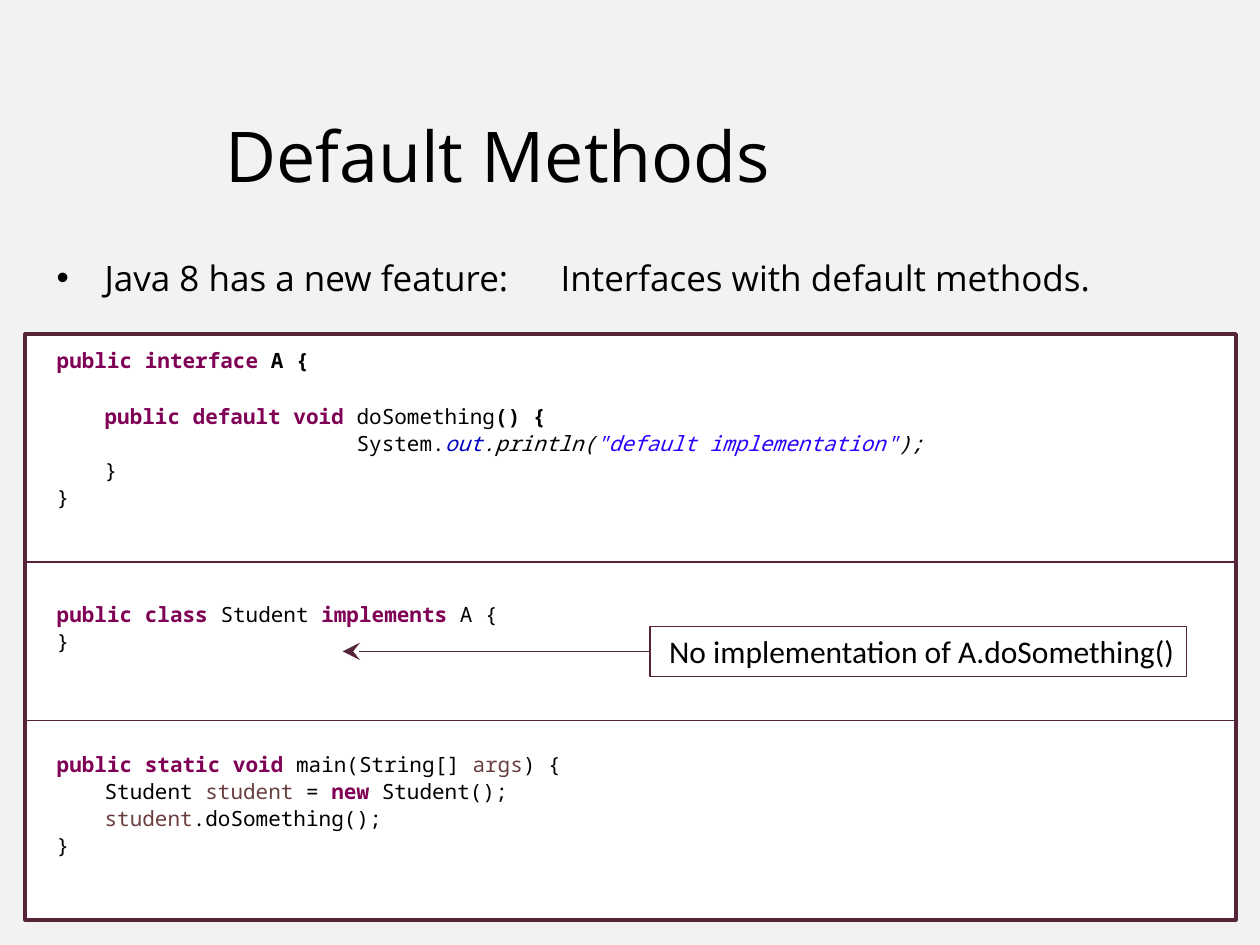
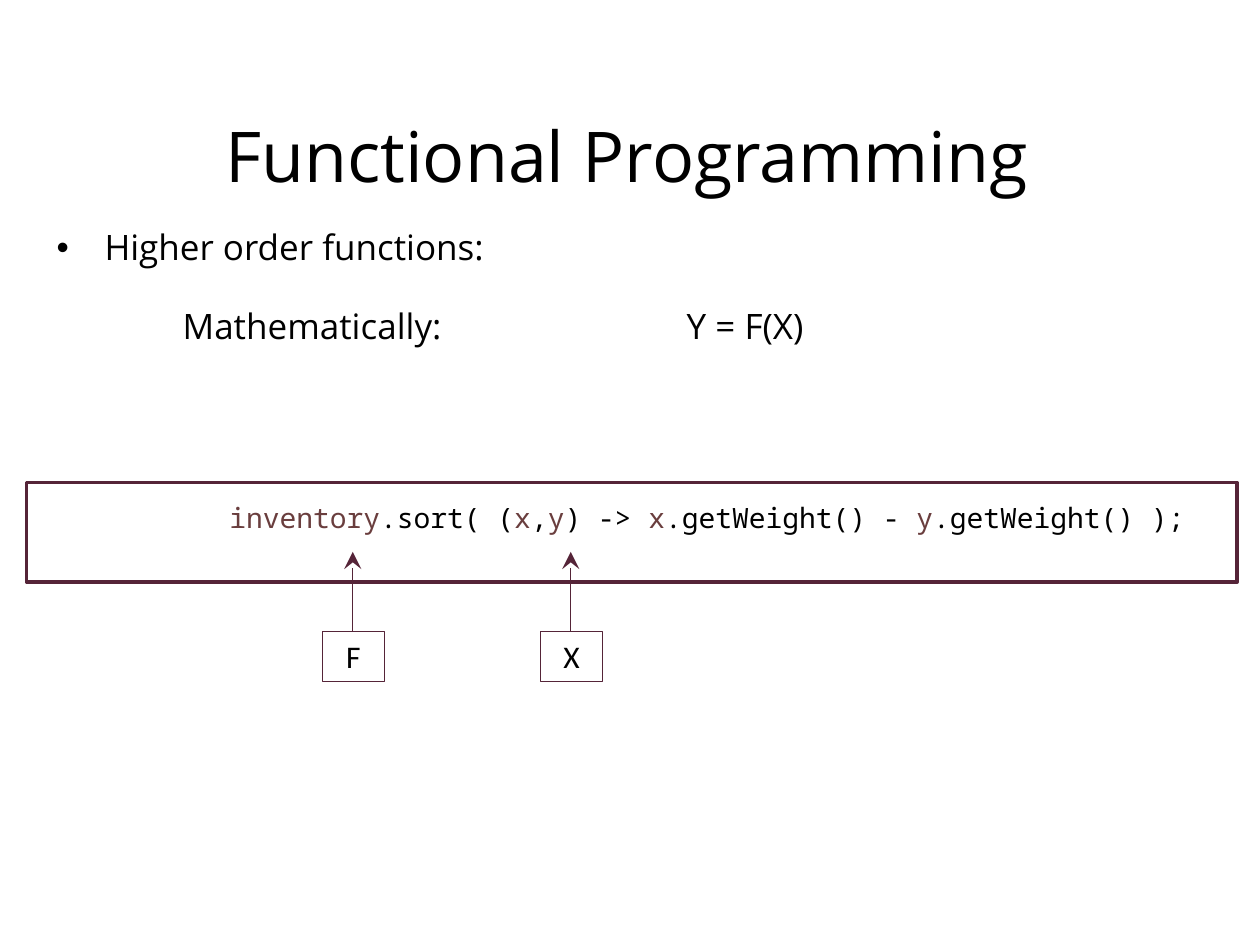
from lxml import etree
from pptx import Presentation
from pptx.dml.color import RGBColor
from pptx.enum.shapes import MSO_CONNECTOR, MSO_SHAPE
from pptx.enum.text import MSO_ANCHOR, PP_ALIGN
from pptx.oxml.ns import qn
from pptx.util import Inches, Pt

BLACK = RGBColor(0x00, 0x00, 0x00)
WHITE = RGBColor(0xFF, 0xFF, 0xFF)
GREY = RGBColor(0xF2, 0xF2, 0xF2)
PLUM = RGBColor(0x55, 0x24, 0x38)
PURPLE = RGBColor(0x7F, 0x00, 0x55)
BROWN = RGBColor(0x6A, 0x3E, 0x3E)
FIELD_BLUE = RGBColor(0x00, 0x00, 0xC0)
STRING_BLUE = RGBColor(0x2A, 0x00, 0xFF)

TEXT_FONT, CODE_FONT, LABEL_FONT = "Open Sans", "Noto Sans Mono", "Calibri"
TEXT_LEFT = 0.45
TAB = 0.38
LINE_SPACING = 0.9

PLAIN = (BLACK, False, False)
STRONG = (BLACK, True, False)
SLANTED = (BLACK, False, True)
KEYWORD = (PURPLE, True, False)
VARIABLE = (BROWN, False, False)
FIELD = (FIELD_BLUE, False, True)
STRING = (STRING_BLUE, False, True)

INTERFACE_CODE = [
    (0, 0, [("public interface", KEYWORD), (" A {", STRONG)]),
    (TAB, 19.4, [("public default void ", KEYWORD), ("doSomething", PLAIN), ("() {", STRONG)]),
    (2 + TAB, 2.4, [("System.", PLAIN), ("out", FIELD), (".println(", SLANTED),
                    ('"default implementation"', STRING), (");", SLANTED)]),
    (TAB, 2.4, [("}", PLAIN)]),
    (0, 2.4, [("}", PLAIN)]),
]
STUDENT_CODE = [
    (0, 0, [("public class ", KEYWORD), ("Student ", PLAIN),
            ("implements", KEYWORD), (" A {", PLAIN)]),
    (0, 2.4, [("}", PLAIN)]),
]
MAIN_CODE = [
    (0, 0, [("public static void ", KEYWORD), ("main(String[] ", PLAIN),
            ("args", VARIABLE), (") {", PLAIN)]),
    (TAB, 2.4, [("Student ", PLAIN), ("student", VARIABLE), (" = ", PLAIN),
                ("new ", KEYWORD), ("Student();", PLAIN)]),
    (TAB, 2.4, [("student", VARIABLE), (".doSomething();", PLAIN)]),
    (0, 2.4, [("}", PLAIN)]),
]
SORT_CODE = [
    (0, 0, [("inventory", VARIABLE), (".sort( (", PLAIN), ("x", VARIABLE), (",", PLAIN),
            ("y", VARIABLE), (") -> ", PLAIN), ("x", VARIABLE), (".getWeight() - ", PLAIN),
            ("y", VARIABLE), (".getWeight() );", PLAIN)]),
]

SLIDES = [
    {
        "background": GREY,
        "title": "Default Methods",
        "frame": (0.2, 2.65, 9.61, 4.65),
        "body_top": 2.07,
        "body": [("Java 8 has a new feature:\tInterfaces with default methods.", True, 0, [4])],
        "code": [(TEXT_LEFT, 2.78, 12, INTERFACE_CODE), (TEXT_LEFT, 4.8, 12, STUDENT_CODE),
                 (TEXT_LEFT, 5.99, 12, MAIN_CODE)],
        "dividers": [4.46, 5.72],
        "labels": [("No implementation of A.doSomething()", (5.16, 4.97, 4.26, 0.4),
                    PP_ALIGN.RIGHT, (5.16, 5.17, 2.72, 5.17))],
    },
    {
        "background": WHITE,
        "title": "Functional Programming",
        "frame": (0.21, 3.83, 9.61, 0.79),
        "body_top": 1.83,
        "body": [("Higher order functions:", True, 0, []),
                 ("\tMathematically:\tY = F(X)", False, 23.5, [1, 5])],
        "code": [(1.82, 4, 16, SORT_CODE)],
        "dividers": [],
        "labels": [(name, (center - 0.24, 5.01, 0.49, 0.4), PP_ALIGN.CENTER,
                    (center, 5.01, center, 4.38)) for name, center in (("F", 2.8), ("X", 4.53))],
    },
]


def style_font(font, name, size, color=BLACK, bold=False, italic=False):
    font.name, font.size = name, Pt(size)
    font.bold, font.italic = bold, italic
    font.color.rgb = color


def add_text_box(slide, left, top, width, height):
    box = slide.shapes.add_textbox(*map(Inches, (left, top, width, height)))
    frame = box.text_frame
    frame.word_wrap = True
    frame.margin_left = frame.margin_right = frame.margin_top = frame.margin_bottom = 0
    return frame


def add_paragraph(frame, index, space_before):
    para = frame.add_paragraph() if index else frame.paragraphs[0]
    para.line_spacing = LINE_SPACING
    if index:
        para.space_before = Pt(space_before)
    return para


def add_title(slide, text):
    frame = add_text_box(slide, 1.79, 0.65, 8.1, 1.16)
    frame.vertical_anchor = MSO_ANCHOR.MIDDLE
    frame.text = text
    style_font(frame.paragraphs[0].runs[0].font, TEXT_FONT, 40)


def add_body(slide, top, lines):
    frame = add_text_box(slide, TEXT_LEFT, top, 9.1, 0.4 * len(lines))
    for index, (text, bulleted, space_before, stops) in enumerate(lines):
        para = add_paragraph(frame, index, space_before)
        para.text = text
        props = para._p.get_or_add_pPr()
        if bulleted:
            props.set("marL", str(Inches(TAB)))
            props.set("indent", str(-Inches(TAB)))
            etree.SubElement(props, qn("a:buFont"), typeface="Arial")
            etree.SubElement(props, qn("a:buChar"), char="•")
        if stops:
            tabs = etree.SubElement(props, qn("a:tabLst"))
            for stop in stops:
                etree.SubElement(tabs, qn("a:tab"), pos=str(Inches(stop)), algn="l")
        for span in para.runs:
            style_font(span.font, TEXT_FONT, 20)


def add_code(slide, left, top, size, lines):
    frame = add_text_box(slide, left, top, 9.7 - left, 0.24 * len(lines))
    for index, (indent, space_before, spans) in enumerate(lines):
        para = add_paragraph(frame, index, space_before)
        para._p.get_or_add_pPr().set("marL", str(Inches(indent)))
        for text, style in spans:
            span = para.add_run()
            span.text = text
            style_font(span.font, CODE_FONT, size, *style)


def add_rectangle(slide, place, line_width):
    box = slide.shapes.add_shape(MSO_SHAPE.RECTANGLE, *map(Inches, place))
    box.shadow.inherit = False
    box.line.color.rgb = PLUM
    box.line.width = Pt(line_width)
    return box


def add_line(slide, ends, arrow=False):
    line = slide.shapes.add_connector(MSO_CONNECTOR.STRAIGHT, *map(Inches, ends))
    line.line.color.rgb = PLUM
    line.line.width = Pt(0.75)
    if arrow:
        etree.SubElement(line.line._get_or_add_ln(), qn("a:tailEnd"),
                         type="stealth", w="lg", len="lg")
    etree.SubElement(line._element.spPr, qn("a:effectLst"))


def add_label(slide, text, place, alignment, arrow_ends):
    box = add_rectangle(slide, place, 0.75)
    box.fill.background()
    frame = box.text_frame
    frame.word_wrap = False
    frame.vertical_anchor = MSO_ANCHOR.MIDDLE
    frame.text = text
    para = frame.paragraphs[0]
    para.alignment = alignment
    style_font(para.runs[0].font, LABEL_FONT, 18)
    add_line(slide, arrow_ends, arrow=True)


def build_slide(deck, content):
    slide = deck.slides.add_slide(deck.slide_layouts[6])
    slide.background.fill.solid()
    slide.background.fill.fore_color.rgb = content["background"]
    panel = add_rectangle(slide, content["frame"], 2)
    panel.fill.solid()
    panel.fill.fore_color.rgb = WHITE
    add_title(slide, content["title"])
    add_body(slide, content["body_top"], content["body"])
    for block in content["code"]:
        add_code(slide, *block)
    for height in content["dividers"]:
        add_line(slide, (0.2, height, 9.8, height))
    for label in content["labels"]:
        add_label(slide, *label)


def main():
    deck = Presentation()
    deck.slide_width, deck.slide_height = Inches(10), Inches(7.5)
    for content in SLIDES:
        build_slide(deck, content)
    deck.save("out.pptx")


if __name__ == "__main__":
    main()
